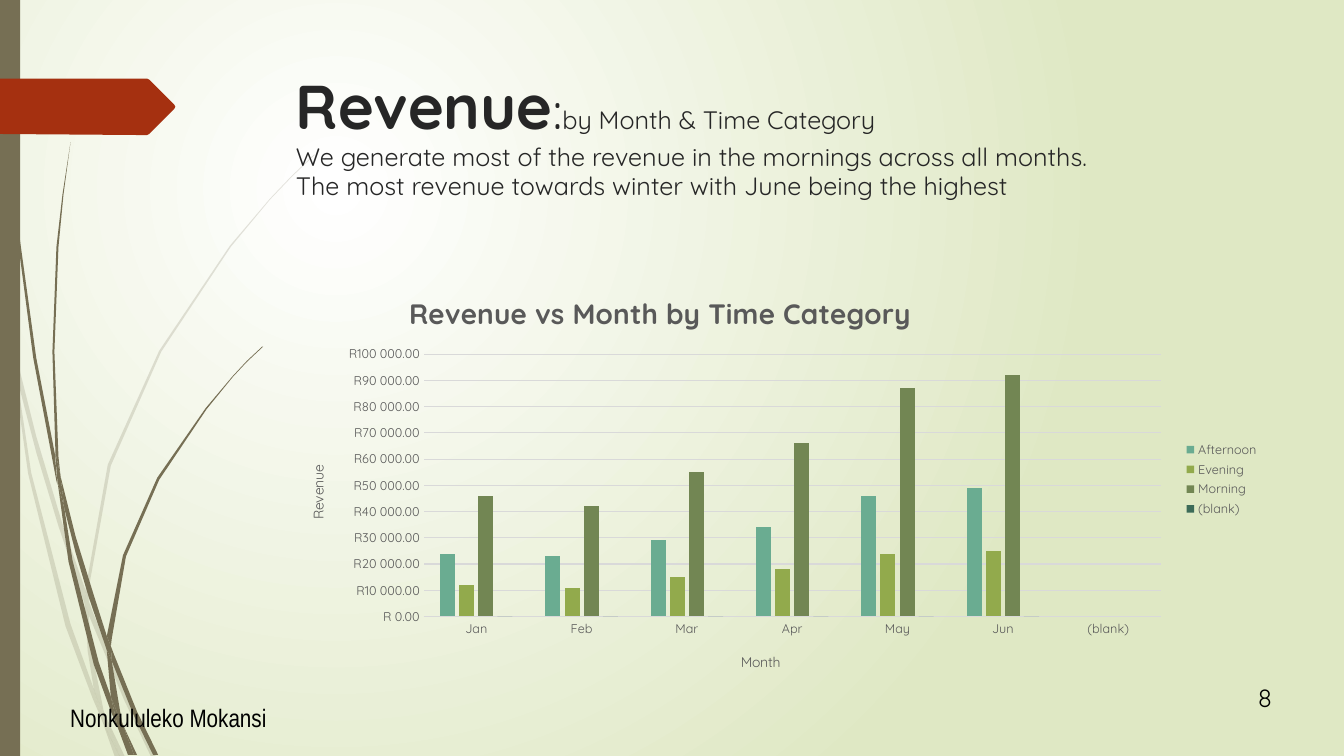
from dataclasses import dataclass
from lxml.etree import SubElement
from pptx import Presentation
from pptx.chart.data import CategoryChartData
from pptx.dml.color import RGBColor
from pptx.enum.chart import XL_CHART_TYPE, XL_LEGEND_POSITION, XL_TICK_MARK
from pptx.enum.shapes import MSO_SHAPE
from pptx.oxml.ns import qn
from pptx.util import Cm, Pt

PALE = """11 350 9 322 0 282 0 299 10 344
58 522 84 599 85 586 62 520 36 433 14 345 17 376 36 449
92 607 88 596 88 610 123 694 150 751 155 751 127 692
119 751 124 751 105 711
93 683 70 619 31 469 17 376 11 350 28 470 65 621 92 693 101 714 99 707
84 599 87 646 93 683 96 692 105 711 103 706 91 646 88 610 88 608
88 584 110 462 160 349 229 245 268 198 290 175 312 154 312 153 289 175 268 197 228 244 158 348 107 461 85 584 85 586 88 596
101 714 114 751 119 751
88 608 88 610 88 596 85 586 84 599
96 692 93 683 99 707 101 714 119 751 105 711"""

DARK = """7 110 17 233 33 355 56 477 57 481 55 457 55 453 36 355 19 232 8 109 5 48 4 0 3 0 4 48
88 592 106 645 106 633 106 631 93 590 75 532 60 472 64 505 75 548
113 649 110 641 111 656 132 708 152 749 157 749 136 706
110 691 98 657 72 556 64 505 57 477 68 557 93 659 111 708 117 722 116 717
60 472 58 453 54 349 58 245 63 193 70 141 62 193 56 245 52 349 55 449
133 749 136 749 122 719
57 477 64 505 60 472 55 449 55 453
111 633 125 552 158 476 205 406 231 374 245 359 261 344 260 344 245 358 231 373 204 405 156 474 122 551 106 631 110 641
117 722 127 749 131 749
106 645 110 691 116 706 122 719 121 716 111 656 109 651
106 645 109 651 111 656 110 641 106 631 106 633
116 706 110 691 116 717 117 722 130 749 133 749 122 719"""

FLAG = "173 108 148 133 146 134 136 134 0 133 0 78 146 78 148 79 173 104 174 106"

MONTHS = ["Jan", "Feb", "Mar", "Apr", "May", "Jun", "(blank)"]
SALES = {
    "Afternoon": [24000, 23000, 29000, 34000, 46000, 49000, None],
    "Evening": [12000, 11000, 15000, 18000, 24000, 25000, None],
    "Morning": [46000, 42000, 55000, 66000, 87000, 92000, None],
    "(blank)": [0, 0, 0, 0, 0, 0, None],
}


@dataclass(frozen=True)
class Theme:
    white: str = "FFFFFF"
    sage: str = "DFE8C4"
    bark: str = "766F54"
    rust: str = "A53010"
    ink: str = "262626"
    black: str = "000000"
    gray: str = "595959"
    grid: str = "D9D9D9"
    bars: tuple = ("6AAC91", "92AA4C", "728653", "3C6B58")
    font: str = "Quicksand"
    slim: str = "Arial Narrow"
    head: float = 44.1
    colon: int = 36
    body: int = 18
    title: int = 20
    label: int = 10
    small: int = 9


def color(code):
    return RGBColor.from_string(code)


class Deck:
    def __init__(self, theme):
        self.theme = theme
        self.show = Presentation()
        self.show.slide_width, self.show.slide_height = Cm(33.87), Cm(19.05)
        self.slide = self.show.slides.add_slide(self.show.slide_layouts[6])

    def back(self):
        fill = self.slide.background.fill
        fill.gradient()
        for stop, code in zip(fill.gradient_stops, (self.theme.white, self.theme.sage)):
            stop.color.rgb = color(code)
        line = next(self.slide.element.iter(qn("a:lin")))
        grad = line.getparent()
        grad.remove(line)
        ring = SubElement(grad, qn("a:path"), path="circle")
        SubElement(ring, qn("a:fillToRect"), l="50000", t="50000", r="100000", b="100000")

    def paint(self, shape, code, alpha=None):
        shape.shadow.inherit = False
        shape.fill.solid()
        shape.fill.fore_color.rgb = color(code)
        shape.line.fill.background()
        if alpha:
            tint = next(shape.element.spPr.iter(qn("a:srgbClr")))
            SubElement(tint, qn("a:alpha"), val=str(alpha * 1000))

    def outline(self, shapes, text, code, alpha=None):
        nums = [int(n) for n in text.split()]
        first, *rest = zip(nums[::2], nums[1::2])
        form = shapes.build_freeform(*first, scale=Cm(0.0254))
        form.add_line_segments(rest, close=True)
        self.paint(form.convert_to_shape(), code, alpha)

    def plant(self, leaves, alpha=None):
        group = self.slide.shapes.add_group_shape()
        for leaf in leaves.splitlines():
            self.outline(group.shapes, leaf, self.theme.bark, alpha)

    def bar(self, *box):
        shape = self.slide.shapes.add_shape(MSO_SHAPE.RECTANGLE, *map(Cm, box))
        self.paint(shape, self.theme.bark)

    def style(self, font, size, code, bold=False, name=None):
        font.name = name or self.theme.font
        font.size, font.bold = Pt(size), bold
        font.color.rgb = color(code)

    def text(self, box, lines, code, name=None, space=None):
        frame = self.slide.shapes.add_textbox(*map(Cm, box)).text_frame
        frame.word_wrap = True
        para = frame.paragraphs[0]
        para.line_spacing = space
        for i, line in enumerate(lines):
            if i:
                para.add_line_break()
            for words, size, bold in line:
                run = para.add_run()
                run.text = words
                self.style(run.font, size, code, bold, name)

    def place(self, node, index, inner=False, **spots):
        for old in node.findall(qn("c:layout")):
            node.remove(old)
        layout = node.makeelement(qn("c:layout"))
        node.insert(index, layout)
        manual = SubElement(layout, qn("c:manualLayout"))
        if inner:
            SubElement(manual, qn("c:layoutTarget"), val="inner")
        for key in "xy":
            SubElement(manual, qn(f"c:{key}Mode"), val="edge")
        for key, spot in spots.items():
            SubElement(manual, qn(f"c:{key}"), val=str(spot))

    def name(self, owner, words, size, x, y, bold=False):
        title = owner.chart_title if hasattr(owner, "chart_title") else owner.axis_title
        run = title.text_frame.paragraphs[0].add_run()
        run.text = words
        self.style(run.font, size, self.theme.gray, bold)
        self.place(title._element, 1, x=x, y=y)

    def chart(self, box):
        look = self.theme
        data = CategoryChartData(number_format=r'"R"#\ ##0.00')
        data.categories = MONTHS
        for key, vals in SALES.items():
            data.add_series(key, vals)
        kind = XL_CHART_TYPE.COLUMN_CLUSTERED
        chart = self.slide.shapes.add_chart(kind, *map(Cm, box), data).chart
        self.style(chart.font, look.label, look.black)
        self.name(chart, "Revenue vs Month by Time Category", look.title, 0.12, 0.04, True)
        plot = chart.plots[0]
        plot.gap_width, plot.overlap, plot.vary_by_categories = 219, -27, False
        for item, code in zip(plot.series, look.bars):
            item.format.fill.solid()
            item.format.fill.fore_color.rgb = color(code)
        months, money = chart.category_axis, chart.value_axis
        for axis in (months, money):
            axis.major_tick_mark = axis.minor_tick_mark = XL_TICK_MARK.NONE
            self.style(axis.tick_labels.font, look.small, look.gray)
        self.name(months, "Month", look.label, 0.46, 0.91)
        self.name(money, "Revenue", look.label, 0.02, 0.46)
        money.minimum_scale, money.maximum_scale, money.major_unit = 0, 100000, 10000
        money.tick_labels.number_format = r'"R"#\ ##0.00'
        money.tick_labels.number_format_is_linked = False
        money.format.line.fill.background()
        for part in (months, money.major_gridlines):
            part.format.line.color.rgb = color(look.grid)
            part.format.line.width = Pt(0.75)
        chart.has_legend = True
        chart.legend.position = XL_LEGEND_POSITION.RIGHT
        chart.legend.include_in_layout = False
        self.style(chart.legend.font, look.small, look.gray)
        area = next(chart.element.iter(qn("c:plotArea")))
        self.place(area, 0, True, x=0.14, y=0.2, w=0.75, h=0.63)


def main():
    look = Theme()
    deck = Deck(look)
    deck.back()
    deck.plant(PALE, 20)
    deck.plant(DARK)
    deck.bar(0, 0, 0.51, 19.05)
    deck.outline(deck.slide.shapes, FLAG, look.rust)
    deck.text((7.21, 1.73, 24.77, 3.56), [
        [("Revenue", look.head, True), (":", look.colon, False),
         ("by Month & Time Category", look.body, False)],
        [("We generate most of the revenue in the mornings across all months.", look.body, False)],
        [("The most revenue towards winter with June being the highest", look.body, False)],
    ], look.ink, space=0.95)
    deck.chart((7.21, 6.83, 24.77, 10.49))
    deck.text((1.52, 17.58, 5.94, 1.8), [[("Nonkululeko Mokansi", look.body, False)]],
              look.black, look.slim)
    deck.text((31.45, 17.07, 0.89, 1.02), [[("8", look.body, False)]], look.black)
    deck.show.save("out.pptx")


if __name__ == "__main__":
    main()
